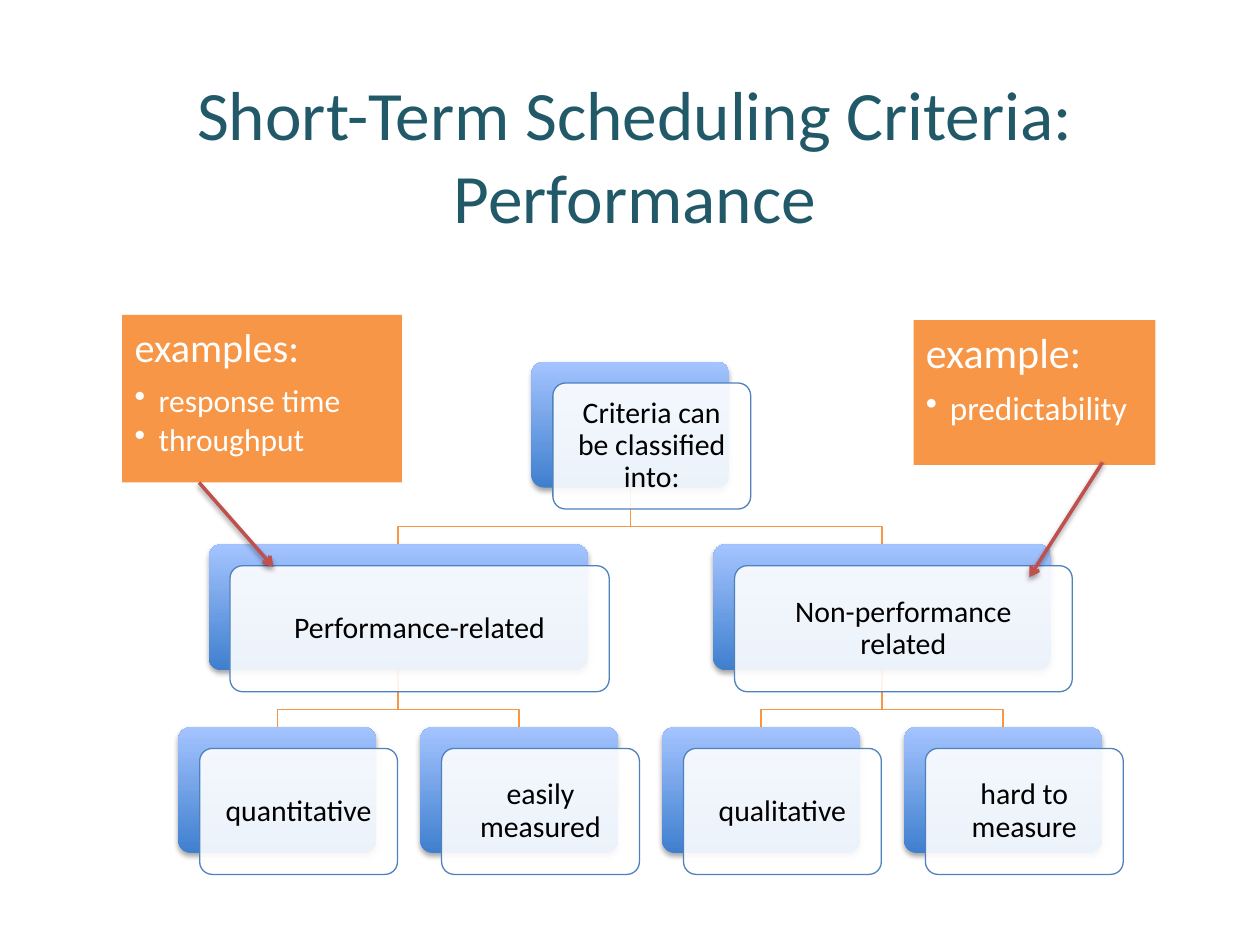
from dataclasses import dataclass

import pptx
import pptx.dml.color
import pptx.enum.dml
import pptx.enum.shapes
import pptx.enum.text
import pptx.oxml
import pptx.oxml.ns
import pptx.util
from pptx.util import Inches

COLORS = {
    "title": "215968", "text": "000000", "white": "FFFFFF",
    "deep": "3F7FCE", "pale": "A4C4FF", "outline": "4F81BD",
    "orange": "F79646", "arrow": "C0504D", "shadow": "000000",
}
FONT = "Calibri"

# Tree grid: centre of the first column, top of the first row, and pitches
LEFT, TOP, COLUMN, ROW = 2.2, 2.87, 1.92, 1.45
CARD_HEIGHT, LEAF_WIDTH, OFFSET, ELBOW = 1.0, 1.57, 0.17, 0.31


@dataclass
class Node:
    text: str
    column: float
    row: int
    width: float = LEAF_WIDTH
    parent: "Node | None" = None

    @property
    def center(self) -> float:
        return LEFT + self.column * COLUMN

    @property
    def top(self) -> float:
        return TOP + self.row * ROW


@dataclass
class Callout:
    heading: str
    examples: list[str]
    box: tuple[float, float, float, float]
    size: int
    arrow: tuple[float, float, float, float]


criteria = Node("Criteria can be classified into:", 1.46, 0)
performance = Node("Performance-related", 0.5, 1, 3.01, criteria)
non_performance = Node("Non-performance related", 2.5, 1, 2.68, criteria)
NODES = [
    criteria,
    performance,
    Node("quantitative", 0, 2, parent=performance),
    Node("easily measured", 1, 2, parent=performance),
    non_performance,
    Node("qualitative", 2, 2, parent=non_performance),
    Node("hard to measure", 3, 2, parent=non_performance),
]
CALLOUTS = [
    Callout("examples:", ["response time", "throughput"],
            (0.97, 2.5, 2.22, 1.33), 23, (1.58, 3.83, 2.17, 4.5)),
    Callout("example:", ["predictability"],
            (7.25, 2.54, 1.92, 1.15), 24, (8.75, 3.67, 8.17, 4.58)),
]


def rgb(name: str) -> pptx.dml.color.RGBColor:
    return pptx.dml.color.RGBColor.from_string(COLORS[name])


def style_runs(paragraph, size: float, color: str) -> None:
    for run in paragraph.runs:
        run.font.name = FONT
        run.font.size = pptx.util.Pt(size)
        run.font.color.rgb = rgb(color)


def set_line(shape, color: str, width: float) -> None:
    shape.line.color.rgb = rgb(color)
    shape.line.width = pptx.util.Pt(width)


def add_shadow(shape, opacity: int, distance: float) -> None:
    properties = shape._element.spPr
    for effects in properties.findall(pptx.oxml.ns.qn("a:effectLst")):
        properties.remove(effects)
    properties.append(pptx.oxml.parse_xml(
        f'<a:effectLst {pptx.oxml.ns.nsdecls("a")}>'
        f'<a:outerShdw blurRad="{pptx.util.Pt(3.1)}" dist="{pptx.util.Pt(distance)}"'
        f' dir="5400000" rotWithShape="0"><a:srgbClr val="{COLORS["shadow"]}">'
        f'<a:alpha val="{opacity * 1000}"/></a:srgbClr></a:outerShdw></a:effectLst>'))


def add_box(slide, kind, left: float, top: float, width: float, height: float):
    box = slide.shapes.add_shape(kind, *map(Inches, (left, top, width, height)))
    box.shadow.inherit = False
    frame = box.text_frame
    frame.word_wrap = True
    frame.margin_left = frame.margin_right = Inches(0.1)
    frame.margin_top = frame.margin_bottom = Inches(0.1)
    return box


def draw_branch(slide, node: Node) -> None:
    start = node.parent.top + CARD_HEIGHT
    bend = start + ELBOW
    corners = [(node.parent.center, bend), (node.center, bend), (node.center, node.top)]
    builder = slide.shapes.build_freeform(Inches(node.parent.center), Inches(start))
    builder.add_line_segments([(Inches(x), Inches(y)) for x, y in corners], close=False)
    branch = builder.convert_to_shape()
    branch.shadow.inherit = False
    branch.fill.background()
    set_line(branch, "orange", 0.75)


def draw_node(slide, node: Node) -> None:
    rounded = pptx.enum.shapes.MSO_SHAPE.ROUNDED_RECTANGLE
    left = node.center - node.width / 2
    back = add_box(slide, rounded, left, node.top, node.width, CARD_HEIGHT)
    front = add_box(slide, rounded, left + OFFSET, node.top + OFFSET, node.width, CARD_HEIGHT)
    back.adjustments[0] = front.adjustments[0] = 0.1

    back.fill.gradient()
    back.fill.gradient_angle = 90
    for stop, color in zip(back.fill.gradient_stops, ("deep", "pale")):
        stop.color.rgb = rgb(color)
    back.line.fill.background()
    add_shadow(back, 35, 1.8)

    front.fill.solid()
    front.fill.fore_color.rgb = rgb("white")
    tint = front._element.spPr.find(".//" + pptx.oxml.ns.qn("a:srgbClr"))
    tint.append(pptx.oxml.parse_xml(
        f'<a:alpha {pptx.oxml.ns.nsdecls("a")} val="90000"/>'))
    set_line(front, "outline", 0.75)
    front.text_frame.text = node.text
    front.text_frame.vertical_anchor = pptx.enum.text.MSO_ANCHOR.MIDDLE
    label = front.text_frame.paragraphs[0]
    label.alignment = pptx.enum.text.PP_ALIGN.CENTER
    label.line_spacing = 0.9
    style_runs(label, 17, "text")


def draw_callout(slide, callout: Callout) -> None:
    box = add_box(slide, pptx.enum.shapes.MSO_SHAPE.RECTANGLE, *callout.box)
    box.fill.solid()
    box.fill.fore_color.rgb = rgb("orange")
    box.line.fill.background()
    frame = box.text_frame
    frame.vertical_anchor = pptx.enum.text.MSO_ANCHOR.TOP
    frame.text = "\n".join([callout.heading, *callout.examples])
    for index, paragraph in enumerate(frame.paragraphs):
        is_example = index > 0
        if is_example:
            properties = paragraph._p.get_or_add_pPr()
            properties.set("marL", str(Inches(0.19)))
            properties.set("indent", str(-Inches(0.19)))
            properties.append(pptx.oxml.parse_xml(
                f'<a:buChar {pptx.oxml.ns.nsdecls("a")} char="•"/>'))
            paragraph.level = 1
        size = callout.size - 5 if is_example else callout.size
        paragraph.alignment = pptx.enum.text.PP_ALIGN.LEFT
        paragraph.line_spacing = 0.9
        paragraph.space_after = pptx.util.Pt(round(size * (0.15 if is_example else 0.35)))
        style_runs(paragraph, size, "white")


def draw_arrow(slide, callout: Callout) -> None:
    arrow = slide.shapes.add_connector(
        pptx.enum.shapes.MSO_CONNECTOR.STRAIGHT, *map(Inches, callout.arrow))
    set_line(arrow, "arrow", 2)
    arrow._element.spPr.find(pptx.oxml.ns.qn("a:ln")).append(pptx.oxml.parse_xml(
        f'<a:tailEnd {pptx.oxml.ns.nsdecls("a")} type="arrow"/>'))
    add_shadow(arrow, 38, 1.6)


def draw_title(slide, text: str) -> None:
    title = slide.shapes.title
    title.left, title.top, title.width, title.height = map(Inches, (0.5, 0.5, 9.08, 1.45))
    frame = title.text_frame
    frame.text = text
    frame.word_wrap = True
    frame.auto_size = pptx.enum.text.MSO_AUTO_SIZE.NONE
    frame.vertical_anchor = pptx.enum.text.MSO_ANCHOR.MIDDLE
    frame.paragraphs[0].alignment = pptx.enum.text.PP_ALIGN.CENTER
    style_runs(frame.paragraphs[0], 39.6, "title")


def main() -> None:
    deck = pptx.Presentation()
    deck.slide_width, deck.slide_height = Inches(10), Inches(7.5)
    slide = deck.slides.add_slide(deck.slide_layouts[5])
    draw_title(slide, "Short-Term Scheduling Criteria: Performance")

    # Classification tree: branches behind the cards
    for node in NODES:
        if node.parent:
            draw_branch(slide, node)
    for node in NODES:
        draw_node(slide, node)

    # Examples pointing at the two classes
    for callout in CALLOUTS:
        draw_callout(slide, callout)
    for callout in CALLOUTS:
        draw_arrow(slide, callout)
    deck.save("out.pptx")


if __name__ == "__main__":
    main()
